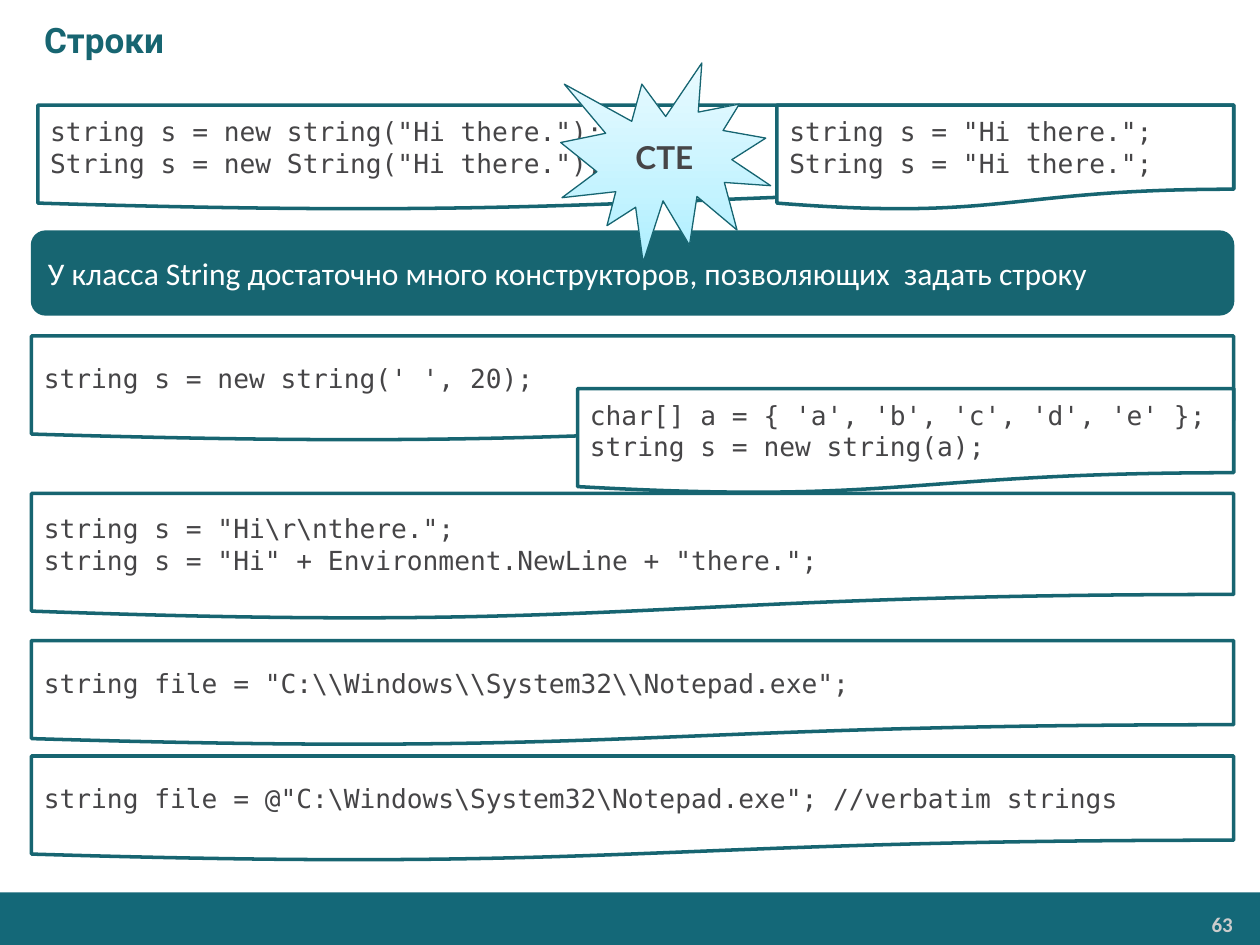
import copy

import pptx
import pptx.dml.color
import pptx.enum.shapes
import pptx.enum.text
import pptx.oxml.ns
import pptx.util

RGBColor = pptx.dml.color.RGBColor
SHAPE = pptx.enum.shapes.MSO_SHAPE
ALIGN = pptx.enum.text.PP_ALIGN
ANCHOR = pptx.enum.text.MSO_ANCHOR

TEAL = RGBColor(0x17, 0x65, 0x71)
FOOTER = RGBColor(0x14, 0x68, 0x78)
GRAY = RGBColor(0x46, 0x45, 0x47)
SILVER = RGBColor(0xCC, 0xCC, 0xCC)
WHITE = RGBColor(0xFF, 0xFF, 0xFF)
SEAL_STOPS = [
    (0, RGBColor(0xAC, 0xEF, 0xFF)),
    (0.35, RGBColor(0xC4, 0xF3, 0xFF)),
    (1, RGBColor(0xE9, 0xFA, 0xFF)),
]

prs = pptx.Presentation()
prs.slide_width = pptx.util.Inches(10)
prs.slide_height = pptx.util.Inches(7.5)
s = prs.slides.add_slide(prs.slide_layouts[6])

# Grid of 120 columns by 90 rows
COL = prs.slide_width // 120
ROW = prs.slide_height // 90
LEFT, RIGHT = 3, 117.5


def add_box(kind, x, y, w, h, fill=None, line=None, weight=0.75):
    """Add a shape (a text box when kind is None), placed in grid units."""
    at = [int(v) for v in (x * COL, y * ROW, w * COL, h * ROW)]
    if kind is None:
        return s.shapes.add_textbox(*at)
    sp = s.shapes.add_shape(kind, *at)
    sp.shadow.inherit = False
    if fill is not None:
        sp.fill.solid()
        sp.fill.fore_color.rgb = fill
    if line is None:
        sp.line.fill.background()
    else:
        sp.line.color.rgb = line
        sp.line.width = pptx.util.Pt(weight)
    return sp


def write(sp, lines, font, size, color, bold=False, align=ALIGN.LEFT):
    tf = sp.text_frame
    tf.word_wrap = True
    tf.vertical_anchor = ANCHOR.MIDDLE
    for i, text in enumerate(lines):
        p = tf.paragraphs[0] if i == 0 else tf.add_paragraph()
        p.alignment = align
        r = p.add_run()
        r.text = text
        r.font.name = font
        r.font.size = pptx.util.Pt(size)
        r.font.bold = bold
        r.font.color.rgb = color


# Footer and page number
add_box(SHAPE.RECTANGLE, 0, 85, 120, 5, FOOTER)
number = add_box(None, 98.75, 86.3, 19.5, 3.4)
number.text_frame.margin_left = number.text_frame.margin_right = pptx.util.Inches(0.07)
number.text_frame.margin_top = number.text_frame.margin_bottom = pptx.util.Inches(0.04)
write(number, ["63"], "Calibri", 12, SILVER, True, ALIGN.RIGHT)

# Title
title = add_box(None, 0, 0, 120, 7.5)
title.text_frame.margin_left = pptx.util.Inches(0.35)
write(title, ["Строки"], "Roboto", 20, TEAL, True)

# Statement
statement = add_box(SHAPE.ROUNDED_RECTANGLE, LEFT, 22, RIGHT - LEFT, 8, TEAL, TEAL)
write(statement,
      ["У класса String достаточно много конструкторов, позволяющих  задать строку"],
      "Calibri", 18, WHITE, align=ALIGN.JUSTIFY)

# Code samples, all ending at the right margin: left, top, height, lines
samples = [
    (3.6, 10, 10, ['string s = new string("Hi there.");',
                   'String s = new String("Hi there.");']),
    (74, 10, 10, ['string s = "Hi there.";',
                  'String s = "Hi there.";']),
    (LEFT, 32, 10, ["string s = new string(' ', 20);"]),
    (55, 37, 10, ["char[] a = { 'a', 'b', 'c', 'd', 'e' };",
                  "string s = new string(a);"]),
    (LEFT, 47, 12, [r'string s = "Hi\r\nthere.";',
                    'string s = "Hi" + Environment.NewLine + "there.";']),
    (LEFT, 61, 10, [r'string file = "С:\\Windows\\System32\\Notepad.exe";']),
    (LEFT, 72, 10, [r'string file = @"C:\Windows\System32\Notepad.exe"; //verbatim strings']),
]
for x, y, h, lines in samples:
    sp = add_box(SHAPE.FLOWCHART_DOCUMENT, x, y, RIGHT - x, h, WHITE, TEAL, 2)
    write(sp, lines, "DejaVu Sans Mono", 15, GRAY)

# Compile-time error burst with a three-stop gradient
seal = add_box(SHAPE.EXPLOSION1, 53.4, 6, 20, 19, line=TEAL)
seal.fill.gradient()
seal.fill.gradient_angle = 90
first = seal._element.spPr.find(".//" + pptx.oxml.ns.qn("a:gs"))
first.addnext(copy.deepcopy(first))
for stop, (position, color) in zip(seal.fill.gradient_stops, SEAL_STOPS):
    stop.position = position
    stop.color.rgb = color
write(seal, ["CTE"], "Lato", 18, GRAY, True, ALIGN.CENTER)

prs.save("out.pptx")
